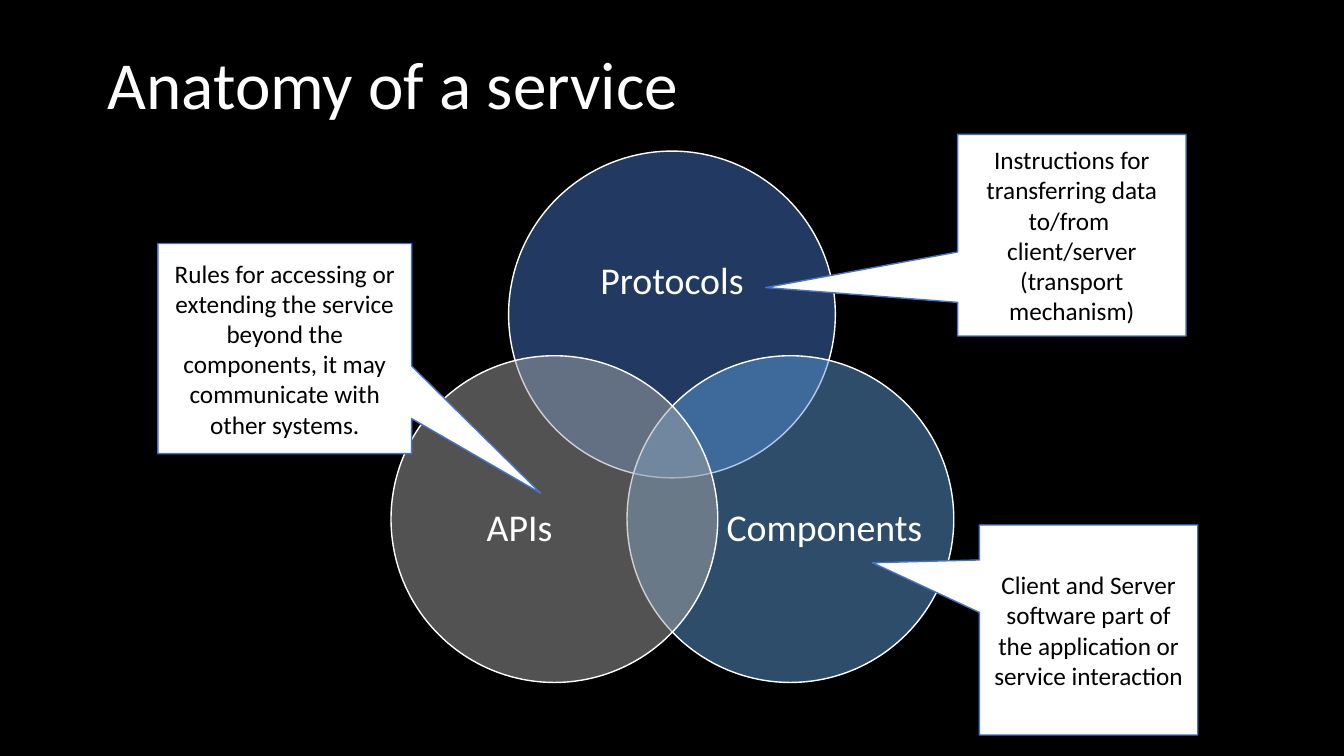
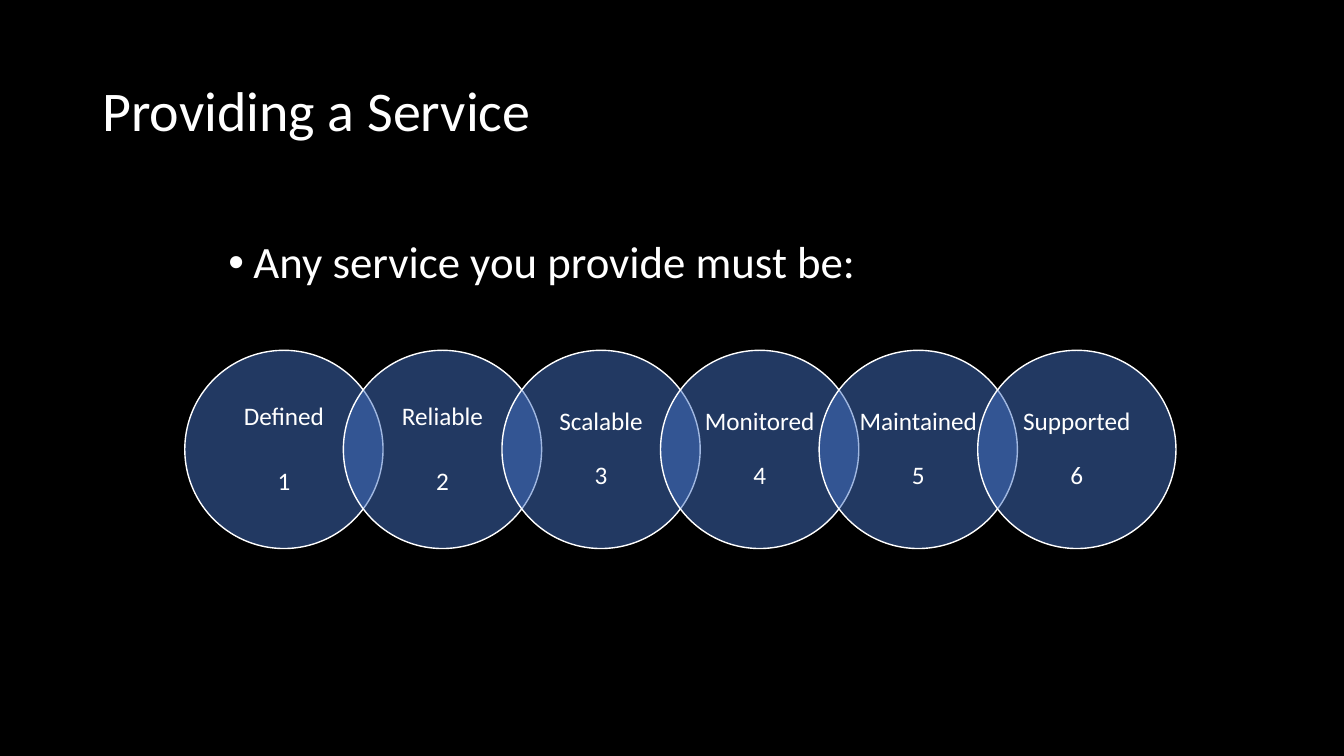
"""Two slides on services: a labelled Venn diagram and a chain of requirements."""
from dataclasses import dataclass

from lxml.etree import SubElement
from pptx import Presentation
from pptx.dml.color import RGBColor as Rgb
from pptx.enum.shapes import MSO_SHAPE as Preset
from pptx.enum.text import MSO_ANCHOR as Anchor, MSO_AUTO_SIZE as AutoSize, PP_ALIGN as Align
from pptx.oxml.ns import qn
from pptx.util import Inches, Pt

COLUMNS, ROWS = 160, 90
SLIDE_W, SLIDE_H = Inches(13.33), Inches(7.5)
TITLE_ONLY = 5


@dataclass(frozen=True)
class Theme:
    """Colours, font and type sizes shared by the slides."""
    font: str = "Calibri"
    background: str = "000000"
    light: str = "FFFFFF"
    dark: str = "000000"
    blue: str = "4472C4"
    sky: str = "5B9BD5"
    grey: str = "A5A5A5"
    opacity: int = 50
    outline: float = 1
    tight: float = 0.9
    title: int = 48
    small_title: int = 40
    bullet: int = 32
    venn: int = 27
    body: int = 18


THEME = Theme()

VENN = [
    ("Protocols", THEME.blue, (80, 37.44), (65.7, 24.8, 28.6, 17.5)),
    ("Components", THEME.sky, (94.1, 61.8), (86.5, 52.3, 23.3, 21.4)),
    ("APIs", THEME.grey, (66, 61.8), (50.2, 52.3, 23.3, 21.4)),
]
CALLOUTS = [
    ("Instructions for transferring data to/from \vclient/server (transport mechanism)",
     (114, 16, 27.2, 24), (-1.34, 0.26)),
    ("Client and Server software part of the application or service interaction",
     (116.6, 62.5, 26, 25), (-0.99, -0.32)),
    ("Rules for accessing or extending the service beyond the components, "
     "it may communicate with other systems.",
     (18.8, 29, 30.2, 25), (1.01, 0.69)),
]
REQUIREMENTS = [("Defined", 27), ("Reliable", 27), ("Scalable", 19),
                ("Monitored", 19), ("Maintained", 19), ("Supported", 19)]


def cells(left, top, width, height):
    """Turn grid columns and rows into slide lengths."""
    return (int(left * SLIDE_W / COLUMNS), int(top * SLIDE_H / ROWS),
            int(width * SLIDE_W / COLUMNS), int(height * SLIDE_H / ROWS))


def write(frame, *lines, size=THEME.body, color=THEME.light, align=Align.CENTER,
          anchor=Anchor.MIDDLE, spacing=THEME.tight, gap=0, margin=None, bullet=None):
    """Fill a text frame with one paragraph per line."""
    frame.word_wrap = True
    frame.auto_size = AutoSize.NONE
    frame.vertical_anchor = anchor
    if margin is not None:
        frame.margin_left = frame.margin_right = margin
        frame.margin_top = frame.margin_bottom = margin
    for index, line in enumerate(lines):
        paragraph = frame.add_paragraph() if index else frame.paragraphs[0]
        paragraph.text = line
        paragraph.alignment = align
        paragraph.line_spacing = spacing
        paragraph.space_before = Pt(gap if index else 0)
        for run in paragraph.runs:
            run.font.name = THEME.font
            run.font.size = Pt(size)
            run.font.color.rgb = Rgb.from_string(color)
        if bullet:
            properties = paragraph._p.get_or_add_pPr()
            properties.set("marL", str(Inches(0.25)))
            properties.set("indent", str(-Inches(0.25)))
            SubElement(properties, qn("a:buFont"), typeface="Arial")
            SubElement(properties, qn("a:buChar"), char=bullet)


def add_title_slide(deck, heading, box, size):
    """Add a slide and place its heading."""
    slide = deck.slides.add_slide(deck.slide_layouts[TITLE_ONLY])
    title = slide.shapes.title
    title.left, title.top, title.width, title.height = cells(*box)
    write(title.text_frame, heading, size=size, align=Align.LEFT)
    return slide


def add_label(slide, box, *lines, **style):
    """Add free-standing text."""
    label = slide.shapes.add_textbox(*cells(*box))
    write(label.text_frame, *lines, **style)


def add_outlined(slide, preset, box, fill, outline):
    """Add a flat shape with a solid fill and a thin outline."""
    shape = slide.shapes.add_shape(preset, *cells(*box))
    shape.shadow.inherit = False
    shape.fill.solid()
    shape.fill.fore_color.rgb = Rgb.from_string(fill)
    shape.line.color.rgb = Rgb.from_string(outline)
    shape.line.width = Pt(THEME.outline)
    return shape


def add_circle(slide, center, diameter, fill):
    """Add a translucent circle around a centre."""
    x, y = center
    box = (x - diameter / 2, y - diameter / 2, diameter, diameter)
    circle = add_outlined(slide, Preset.OVAL, box, fill, THEME.light)
    tint = circle._element.spPr.find(qn("a:solidFill")).find(qn("a:srgbClr"))
    SubElement(tint, qn("a:alpha"), val=str(THEME.opacity * 1000))


def add_callout(slide, explanation, box, tip):
    """Add a speech box whose tip is given as shares of its size."""
    callout = add_outlined(slide, Preset.RECTANGULAR_CALLOUT, box, THEME.light, THEME.blue)
    callout.adjustments[0], callout.adjustments[1] = tip
    write(callout.text_frame, explanation, color=THEME.dark, spacing=1)


def build_anatomy(deck):
    """Show three overlapping parts of a service, each explained."""
    slide = add_title_slide(deck, "Anatomy of a service", (11.6, 5, 124.7, 11), THEME.title)
    for part, fill, center, label_box in VENN:
        add_circle(slide, center, 38.9, fill)
        add_label(slide, label_box, part, size=THEME.venn, margin=0)
    for explanation, box, tip in CALLOUTS:
        add_callout(slide, explanation, box, tip)


def build_requirements(deck):
    """Show the numbered requirements as a chain of circles."""
    slide = add_title_slide(deck, "Providing a Service", (11, 4.8, 138, 17.4),
                            THEME.small_title)
    add_label(slide, (26, 28, 108, 8), "Any service you provide must be:", size=THEME.bullet,
              align=Align.LEFT, anchor=Anchor.TOP, bullet="•")
    diameter, label_side, middle = 23.6, 16.7, 53.5
    pitch = 0.8 * diameter
    for index, (requirement, gap) in enumerate(REQUIREMENTS):
        x = 33.8 + index * pitch
        add_circle(slide, (x, middle), diameter, THEME.blue)
        label_box = (x - label_side / 2, middle - label_side / 2, label_side, label_side)
        add_label(slide, label_box, requirement, str(index + 1), gap=gap, margin=0)


def main():
    """Build and save the deck."""
    deck = Presentation()
    deck.slide_width, deck.slide_height = SLIDE_W, SLIDE_H
    backdrop = deck.slide_master.background.fill
    backdrop.solid()
    backdrop.fore_color.rgb = Rgb.from_string(THEME.background)
    build_anatomy(deck)
    build_requirements(deck)
    deck.save("out.pptx")


main()
